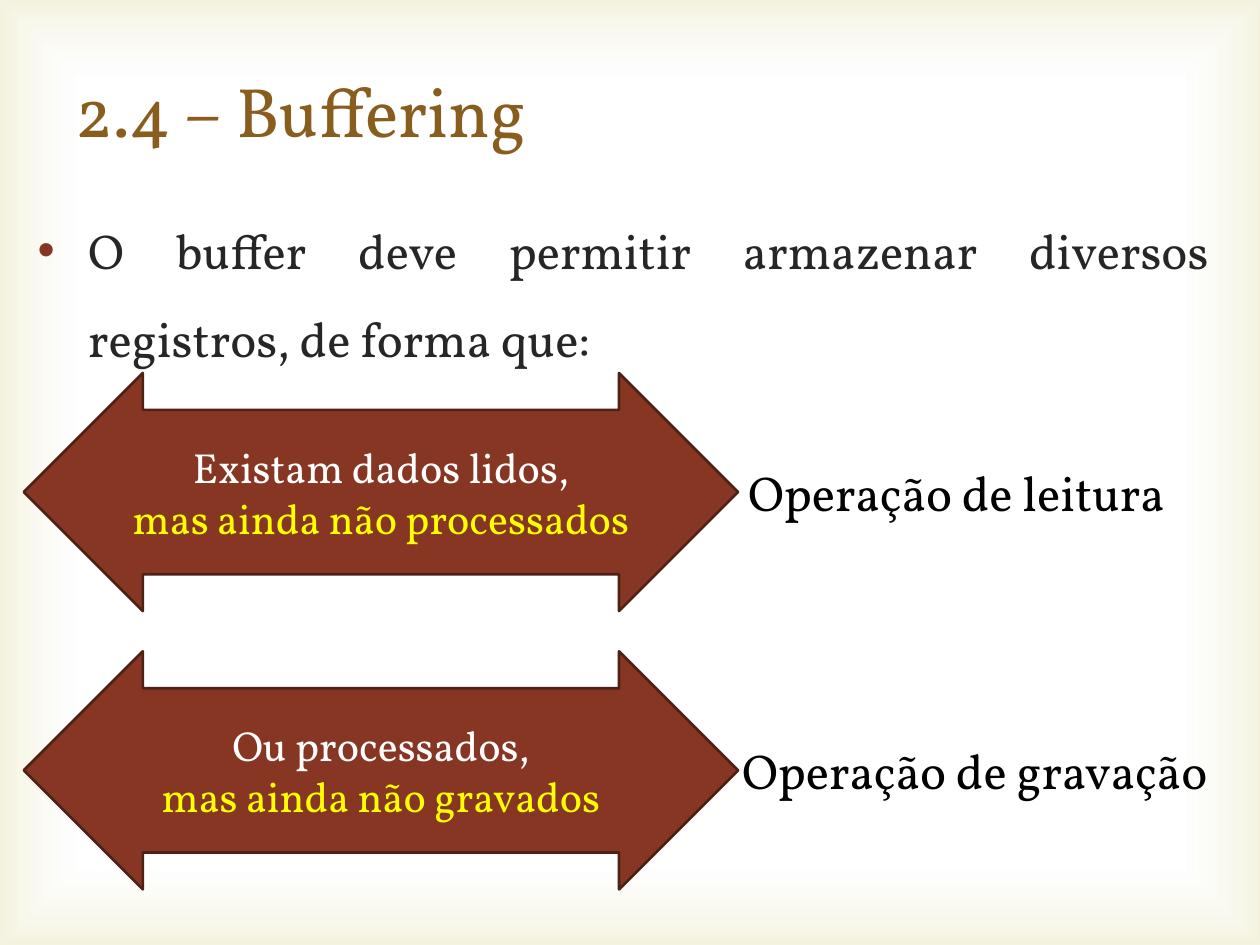
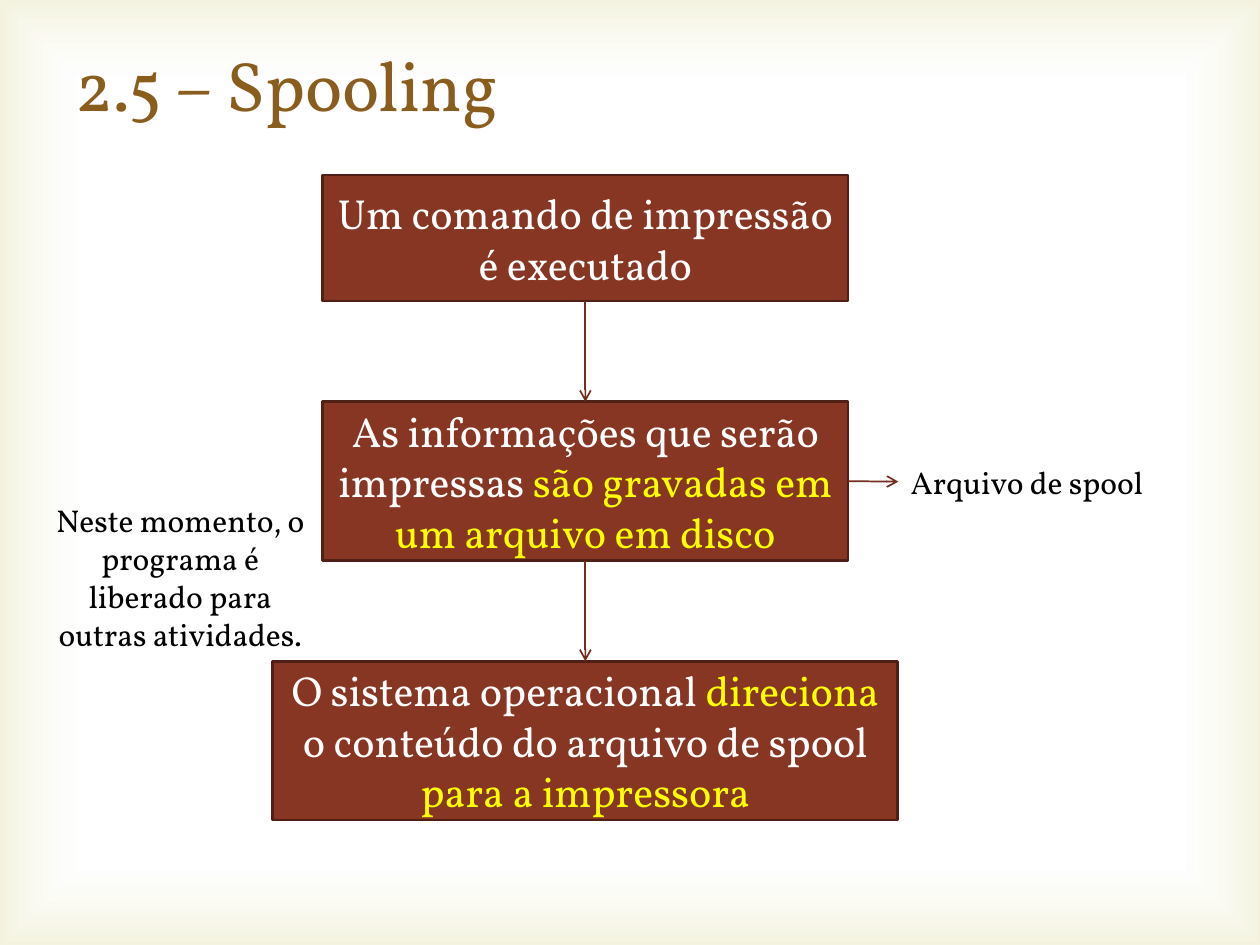
from dataclasses import dataclass

from pptx import Presentation
from pptx.dml.color import RGBColor
from pptx.enum.shapes import MSO_CONNECTOR, MSO_SHAPE
from pptx.enum.text import MSO_ANCHOR, MSO_AUTO_SIZE, PP_ALIGN
from pptx.oxml import parse_xml
from pptx.oxml.ns import nsdecls, qn
from pptx.shapes.autoshape import Shape
from pptx.slide import Slide, SlideLayout
from pptx.text.text import TextFrame
from pptx.util import Cm, Pt

RECTANGLE = MSO_SHAPE.RECTANGLE
DOUBLE_ARROW = MSO_SHAPE.LEFT_RIGHT_ARROW
STRAIGHT = MSO_CONNECTOR.STRAIGHT
TOP, MIDDLE = MSO_ANCHOR.TOP, MSO_ANCHOR.MIDDLE
LEFT, CENTER, JUSTIFY = PP_ALIGN.LEFT, PP_ALIGN.CENTER, PP_ALIGN.JUSTIFY
SITE_TOP, SITE_LEFT, SITE_BOTTOM, SITE_RIGHT = range(4)

FONT = "Vollkorn"
COLORS = {
    "title": "895D1D",
    "body": "262626",
    "label": "000000",
    "fill": "873624",
    "outline": "4F2015",
    "connector": "742E1F",
    "on_fill": "FFFFFF",
    "highlight": "FFFF00",
    "glow_center": "FFFFFF",
    "glow_edge": "D1CA75",
}
SLIDE_WIDTH, SLIDE_HEIGHT = 25.4, 19.05


@dataclass(frozen=True)
class Box:
    """Position and size in centimetres."""
    left: float
    top: float
    width: float
    height: float

    def emu(self) -> tuple[Cm, Cm, Cm, Cm]:
        return Cm(self.left), Cm(self.top), Cm(self.width), Cm(self.height)


@dataclass(frozen=True)
class Span:
    text: str
    color: str = "on_fill"


Lines = list[list[Span]]


@dataclass(frozen=True)
class Operation:
    state: str
    pending: str
    label: str
    arrow_top: float
    label_left: float
    label_width: float


@dataclass(frozen=True)
class Step:
    spans: list[Span]
    width: float
    height: float


OPERATIONS = [
    Operation("Existam dados lidos,", "mas ainda não processados",
              "Operação de leitura", 7.52, 14.83, 9.35),
    Operation("Ou processados,", "mas ainda não gravados",
              "Operação de gravação", 13.13, 14.71, 10.31),
]
STEPS = [
    Step([Span("Um comando de impressão é executado")], 10.59, 2.54),
    Step([Span("As informações que serão impressas "),
          Span("são gravadas em um arquivo em disco", "highlight")], 10.59, 3.2),
    Step([Span("O sistema operacional "), Span("direciona", "highlight"),
          Span(" o conteúdo do arquivo de spool "),
          Span("para a impressora", "highlight")], 12.6, 3.2),
]


def rgb(name: str) -> RGBColor:
    return RGBColor.from_string(COLORS[name])


def write(frame: TextFrame, lines: Lines, size: float,
          align: PP_ALIGN, anchor: MSO_ANCHOR) -> None:
    frame.word_wrap = True
    frame.auto_size = MSO_AUTO_SIZE.NONE
    frame.vertical_anchor = anchor
    for index, spans in enumerate(lines):
        paragraph = frame.add_paragraph() if index else frame.paragraphs[0]
        paragraph.alignment = align
        for span in spans:
            run = paragraph.add_run()
            run.text = span.text
            run.font.name = FONT
            run.font.size = Pt(size)
            run.font.color.rgb = rgb(span.color)


def add_label(slide: Slide, text: str, box: Box, size: float,
              align: PP_ALIGN = LEFT, color: str = "label") -> Shape:
    label = slide.shapes.add_textbox(*box.emu())
    write(label.text_frame, [[Span(text, color)]], size, align, TOP)
    return label


def add_block(slide: Slide, kind: MSO_SHAPE, box: Box, lines: Lines) -> Shape:
    block = slide.shapes.add_shape(kind, *box.emu())
    block.shadow.inherit = False
    block.fill.solid()
    block.fill.fore_color.rgb = rgb("fill")
    block.line.color.rgb = rgb("outline")
    block.line.width = Pt(1.5)
    write(block.text_frame, lines, 24, CENTER, MIDDLE)
    return block


def join(slide: Slide, source: Shape, source_site: int,
         target: Shape, target_site: int) -> None:
    """Draw an arrow between connection sites of two shapes."""
    arrow = slide.shapes.add_connector(STRAIGHT, 0, 0, 0, 0)
    arrow.begin_connect(source, source_site)
    arrow.end_connect(target, target_site)
    arrow.line.color.rgb = rgb("connector")
    arrow.line.width = Pt(1)
    properties = arrow.element.spPr
    properties.find(qn("a:ln")).append(
        parse_xml(f'<a:tailEnd {nsdecls("a")} type="arrow"/>'))
    properties.append(parse_xml(f'<a:effectLst {nsdecls("a")}/>'))


def add_titled_slide(prs: Presentation, layout: SlideLayout,
                     text: str, top: float) -> Slide:
    slide = prs.slides.add_slide(layout)
    title = slide.shapes.title
    title.left, title.top, title.width, title.height = Box(1.27, top, 22.86, 3.18).emu()
    write(title.text_frame, [[Span(text, "title")]], 40, LEFT, MIDDLE)
    return slide


def add_glow(slide: Slide, layout: SlideLayout) -> None:
    """Build the soft edge glow and move it behind everything on the layout."""
    glow = slide.shapes.add_shape(RECTANGLE, *Box(0, 0, SLIDE_WIDTH, SLIDE_HEIGHT).emu())
    glow.shadow.inherit = False
    glow.line.fill.background()
    glow.fill.background()
    stops = "".join(
        f'<a:gs pos="{position}000"><a:srgbClr val="{COLORS[color]}">'
        f'<a:alpha val="{alpha}000"/></a:srgbClr></a:gs>'
        for position, color, alpha in [(83, "glow_center", 11), (100, "glow_edge", 23)])
    gradient = parse_xml(
        f'<a:gradFill {nsdecls("a")} rotWithShape="1"><a:gsLst>{stops}</a:gsLst>'
        '<a:path path="rect"><a:fillToRect l="50000" t="50000" r="50000" b="50000"/>'
        '</a:path></a:gradFill>')
    properties = glow.element.spPr
    properties.replace(properties.find(qn("a:noFill")), gradient)
    layout.shapes.element.insert(2, glow.element)


def add_bullet(label: Shape) -> None:
    paragraph = label.text_frame.paragraphs[0]
    paragraph.line_spacing = 1.5
    paragraph.space_before = Pt(5.6)
    properties = paragraph._p.get_or_add_pPr()
    indent = Cm(1.02)
    properties.set("marL", str(indent))
    properties.set("indent", str(-indent))
    properties.append(parse_xml(
        f'<a:buClr {nsdecls("a")}><a:srgbClr val="{COLORS["fill"]}"/></a:buClr>'))
    properties.append(parse_xml(
        f'<a:buFont {nsdecls("a")} typeface="Arial"/>'))
    properties.append(parse_xml(f'<a:buChar {nsdecls("a")} char="•"/>'))


def fill_buffering(slide: Slide) -> None:
    requirement = add_label(
        slide, "O buffer deve permitir armazenar diversos registros, de forma que:",
        Box(0.51, 3.73, 24.1, 15.32), 28, JUSTIFY, "body")
    add_bullet(requirement)
    arrow_height, label_height = 4.8, 1.45
    for operation in OPERATIONS:
        arrow = add_block(
            slide, DOUBLE_ARROW, Box(0.48, operation.arrow_top, 14.4, arrow_height),
            [[Span(operation.state)], [Span(operation.pending, "highlight")]])
        arrow.adjustments[0] = 0.69
        arrow.adjustments[1] = 0.5
        label_top = operation.arrow_top + (arrow_height - label_height) / 2
        add_label(slide, operation.label,
                  Box(operation.label_left, label_top, operation.label_width, label_height), 28)


def fill_spooling(slide: Slide) -> None:
    flow_center, top, gap = 11.8, 3.53, 2.03
    blocks = []
    for step in STEPS:
        box = Box(flow_center - step.width / 2, top, step.width, step.height)
        blocks.append(add_block(slide, RECTANGLE, box, [step.spans]))
        top += step.height + gap
    for upper, lower in zip(blocks, blocks[1:]):
        join(slide, upper, SITE_BOTTOM, lower, SITE_TOP)
    spool_file = add_label(slide, "Arquivo de spool", Box(18.11, 9.2, 5.59, 1.02), 18)
    join(slide, blocks[1], SITE_RIGHT, spool_file, SITE_LEFT)
    add_label(slide, "Neste momento, o programa é liberado para outras atividades.",
              Box(0.84, 9.98, 5.59, 3.33), 18, CENTER)


def main() -> None:
    prs = Presentation()
    prs.slide_width, prs.slide_height = Cm(SLIDE_WIDTH), Cm(SLIDE_HEIGHT)
    title_only = prs.slide_layouts[5]
    buffering = add_titled_slide(prs, title_only, "2.4 – Buffering", 0.61)
    add_glow(buffering, title_only)
    fill_buffering(buffering)
    fill_spooling(add_titled_slide(prs, title_only, "2.5 – Spooling", 0.1))
    prs.save("out.pptx")


if __name__ == "__main__":
    main()
